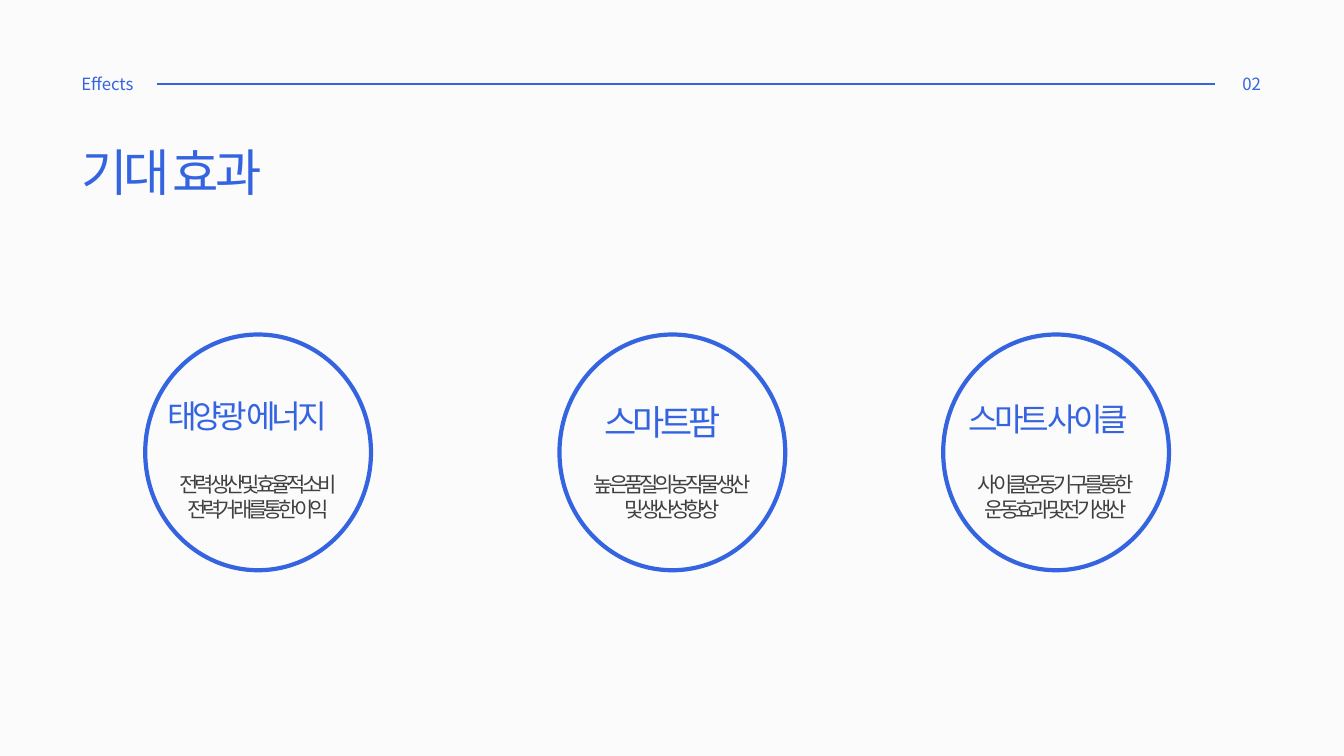
from pptx import Presentation
from pptx.dml.color import RGBColor
from pptx.enum.shapes import MSO_CONNECTOR, MSO_SHAPE
from pptx.enum.text import MSO_ANCHOR, PP_ALIGN
from pptx.oxml.ns import qn
from pptx.util import Cm, Pt

FONT = "Noto Sans CJK KR"
COLORS = {"blue": "3464E0", "text": "404040", "back": "FBFBFB"}


def rgb(name):
    return RGBColor.from_string(COLORS[name])


def write(sp, text, size, color="blue", align=PP_ALIGN.LEFT, spacing=0):
    """Fill a shape with one paragraph per line; spacing is in points."""
    tf = sp.text_frame
    tf.word_wrap = True
    tf.vertical_anchor = MSO_ANCHOR.TOP
    for i, line in enumerate(text.split("\n")):
        p = tf.paragraphs[0] if i == 0 else tf.add_paragraph()
        p.alignment = align
        p.line_spacing = 1.0
        r = p.add_run()
        r.text = line
        r.font.size = Pt(size)
        r.font.name = FONT
        r.font.color.rgb = rgb(color)
        rPr = r.font._element
        rPr.set("spc", str(spacing * 100))
        rPr.find(qn("a:latin")).addnext(
            rPr.makeelement(qn("a:ea"), {"typeface": FONT}))


prs = Presentation()
prs.slide_width, prs.slide_height = Cm(33.87), Cm(19.05)
s = prs.slides.add_slide(prs.slide_layouts[5])
s.background.fill.solid()
s.background.fill.fore_color.rgb = rgb("back")

# Header
for text, left, width in [("Effects", 1.8, 2.16), ("02", 31.06, 1.1)]:
    write(s.shapes.add_textbox(Cm(left), Cm(1.73), Cm(width), Cm(0.76)), text, 12)

rule = s.shapes.add_connector(
    MSO_CONNECTOR.STRAIGHT, Cm(3.95), Cm(2.12), Cm(30.63), Cm(2.12))
rule.line.color.rgb = rgb("blue")
rule.line.width = Pt(1)
spPr = rule._element.spPr
spPr.append(spPr.makeelement(qn("a:effectLst"), {}))

title = s.shapes.title
title.left, title.top, title.width, title.height = Cm(1.8), Cm(3.43), Cm(5.56), Cm(1.8)
write(title, "기대 효과", 36, spacing=-3)

# Effects: circle left, heading, heading left, top, width, size, description
effects = [
    (3.66, "태양광 에너지", 3.96, 9.86, 5.16, 23,
     "전력 생산 및 효율적 소비\n전력 거래를 통한 이익"),
    (14.1, "스마트팜", 14.99, 9.98, 3.91, 25,
     "높은 품질의 농작물 생산\n및 생산성 향상"),
    (23.77, "스마트 사이클", 24.16, 9.93, 4.95, 23,
     "사이클 운동기구를 통한\n운동 효과 및 전기 생산"),
]
for left, heading, head_left, head_top, head_width, size, description in effects:
    group = s.shapes.add_group_shape().shapes
    write(group.add_textbox(Cm(head_left), Cm(head_top), Cm(head_width), Cm(1.25)),
          heading, size, spacing=-3)

    circle = group.add_shape(MSO_SHAPE.OVAL, Cm(left), Cm(8.43), Cm(5.69), Cm(5.94))
    circle.shadow.inherit = False
    circle.fill.background()
    circle.line.color.rgb = rgb("blue")
    circle.line.width = Pt(3)

    write(group.add_textbox(Cm(left + 0.28), Cm(11.76), Cm(5.13), Cm(1.55)),
          description, 15, color="text", align=PP_ALIGN.CENTER, spacing=-3)

prs.save("out.pptx")
